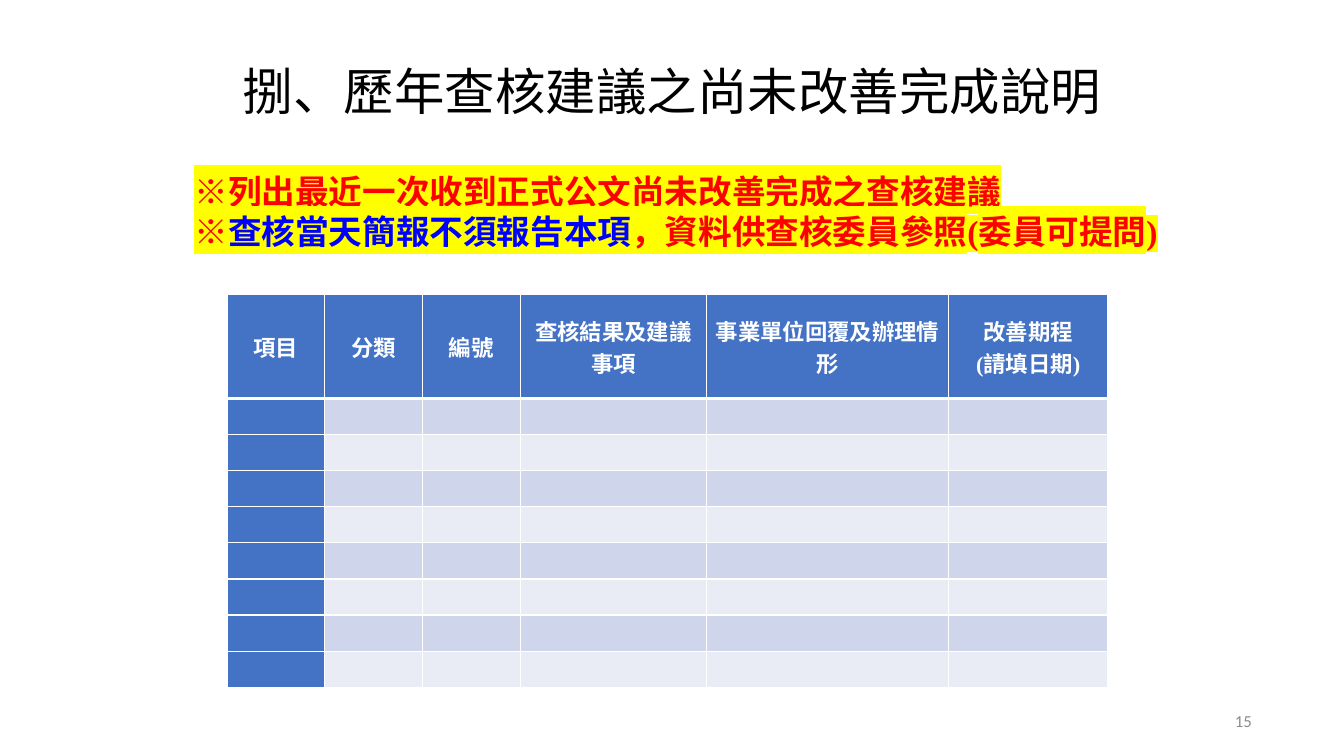
from dataclasses import dataclass

from lxml.etree import SubElement
from pptx import Presentation
from pptx.dml.color import RGBColor
from pptx.enum.text import MSO_ANCHOR as Anchor, PP_ALIGN as Align
from pptx.oxml import parse_xml
from pptx.oxml.ns import nsdecls, qn
from pptx.slide import Slide
from pptx.table import Table, _Cell as Cell
from pptx.text.text import _Paragraph as Paragraph
from pptx.util import Pt

BLACK = RGBColor(0, 0, 0)
WHITE = RGBColor(255, 255, 255)
GREY = RGBColor(0x8C, 0x8C, 0x8C)
RED = RGBColor(255, 0, 0)
BLUE = RGBColor(0, 0, 255)
YELLOW = RGBColor(255, 255, 0)
HEADER_BLUE = RGBColor(0x44, 0x72, 0xC4)
BAND_DARK = RGBColor(0xCF, 0xD5, 0xEA)
BAND_LIGHT = RGBColor(0xE9, 0xEB, 0xF5)

SERIF = "Times New Roman"
SANS = "Calibri"
CJK = "Noto Sans CJK SC"

HEADER_HEIGHT = 74.2
ROW_HEIGHT = 25.8
BODY_ROWS = 8


@dataclass(frozen=True)
class Style:
    size: float
    font: str
    bold: bool = False
    highlight: RGBColor | None = None
    spacing: int = 0


@dataclass(frozen=True)
class Span:
    text: str
    color: RGBColor


@dataclass(frozen=True)
class Label:
    left: float
    top: float
    width: float
    height: float
    lines: list[list[Span]]
    style: Style
    align: Align = Align.LEFT
    anchor: Anchor = Anchor.TOP
    inset_x: float = 0
    inset_y: float = 0
    line_spacing: float | Pt = 1.0


@dataclass(frozen=True)
class Column:
    heading: str
    width: float


HEADING_STYLE = Style(16, SERIF, bold=True)

LABELS = [
    Label(173.5, 48.2, 630, 43.9,
          [[Span("捌、歷年查核建議之尚未改善完成說明", BLACK)]],
          Style(36, CJK, spacing=10), line_spacing=0.9),
    Label(678.2, 500.4, 216, 28.8, [[Span("15", GREY)]],
          Style(12, SANS), Align.RIGHT, Anchor.MIDDLE),
    Label(131.8, 118.1, 709.2, 65.5,
          [[Span("※列出最近一次收到正式公文尚未改善完成之查核建議", RED)],
           [Span("※", RED), Span("查核當天簡報不須報告本項", BLUE),
            Span("，資料供查核委員參照(委員可提問)", RED)]],
          Style(24, SERIF, bold=True, highlight=YELLOW),
          inset_x=7.2, inset_y=3.6, line_spacing=Pt(29)),
]

COLUMNS = [
    Column("項目", 69.8),
    Column("分類", 69.8),
    Column("編號", 69.8),
    Column("查核結果及建議事項", 133.2),
    Column("事業單位回覆及辦理情形", 172.8),
    Column("改善期程\n(請填日期)", 113.8),
]


def add_span(para: Paragraph, span: Span, style: Style) -> None:
    run = para.add_run()
    run.text = span.text
    run.font.size = Pt(style.size)
    run.font.bold = style.bold
    run.font.color.rgb = span.color
    run.font.name = style.font
    properties = run._r.get_or_add_rPr()
    if style.spacing:
        properties.set("spc", str(style.spacing))
    if style.highlight is not None:
        mark = parse_xml(f'<a:highlight {nsdecls("a")}><a:srgbClr val="{style.highlight}"/></a:highlight>')
        properties.find(qn("a:solidFill")).addnext(mark)
    if style.font == CJK:
        east_asian = parse_xml(f'<a:ea {nsdecls("a")} typeface="{CJK}"/>')
        properties.find(qn("a:latin")).addnext(east_asian)


def add_label(page: Slide, label: Label) -> None:
    box = page.shapes.add_textbox(Pt(label.left), Pt(label.top), Pt(label.width), Pt(label.height))
    frame = box.text_frame
    frame.word_wrap = True
    frame.vertical_anchor = label.anchor
    frame.margin_left = frame.margin_right = Pt(label.inset_x)
    frame.margin_top = frame.margin_bottom = Pt(label.inset_y)
    for index, line in enumerate(label.lines):
        para = frame.add_paragraph() if index else frame.paragraphs[0]
        para.alignment = label.align
        para.line_spacing = label.line_spacing
        for span in line:
            add_span(para, span, label.style)


def style_cell(cell: Cell, fill: RGBColor, top: float, bottom: float) -> None:
    cell.margin_left = cell.margin_right = Pt(5)
    cell.margin_top = cell.margin_bottom = 0
    cell.vertical_anchor = Anchor.MIDDLE
    properties = cell._tc.get_or_add_tcPr()
    for side, width in (("L", 1), ("R", 1), ("T", top), ("B", bottom)):
        line = SubElement(properties, qn(f"a:ln{side}"), w=str(Pt(width)))
        paint = SubElement(line, qn("a:solidFill"))
        SubElement(paint, qn("a:srgbClr"), val=str(WHITE))
    cell.fill.solid()
    cell.fill.fore_color.rgb = fill


def fill_heading(cell: Cell, heading: str) -> None:
    cell.text_frame.text = heading
    for para in cell.text_frame.paragraphs:
        para.alignment = Align.CENTER
        for run in para.runs:
            run.font.size = Pt(HEADING_STYLE.size)
            run.font.name = HEADING_STYLE.font
            run.font.bold = HEADING_STYLE.bold
            run.font.color.rgb = WHITE


def body_fill(row: int, column: int) -> RGBColor:
    if row == 0 or column == 0:
        return HEADER_BLUE
    return BAND_DARK if row % 2 else BAND_LIGHT


def add_review_table(page: Slide) -> Table:
    width = sum(column.width for column in COLUMNS)
    height = HEADER_HEIGHT + BODY_ROWS * ROW_HEIGHT
    table = page.shapes.add_table(BODY_ROWS + 1, len(COLUMNS), Pt(162.2), Pt(210.4),
                                  Pt(width), Pt(height)).table
    for index, column in enumerate(COLUMNS):
        table.columns[index].width = Pt(column.width)
        fill_heading(table.cell(0, index), column.heading)
    for row in range(BODY_ROWS + 1):
        table.rows[row].height = Pt(ROW_HEIGHT if row else HEADER_HEIGHT)
        for column in range(len(COLUMNS)):
            style_cell(table.cell(row, column), body_fill(row, column),
                       top=3 if row == 1 else 1, bottom=1 if row else 3)
    return table


def main() -> None:
    deck = Presentation()
    deck.slide_width, deck.slide_height = Pt(960), Pt(540)
    page = deck.slides.add_slide(deck.slide_layouts[6])
    add_review_table(page)
    for label in LABELS:
        add_label(page, label)
    deck.save("out.pptx")


if __name__ == "__main__":
    main()
